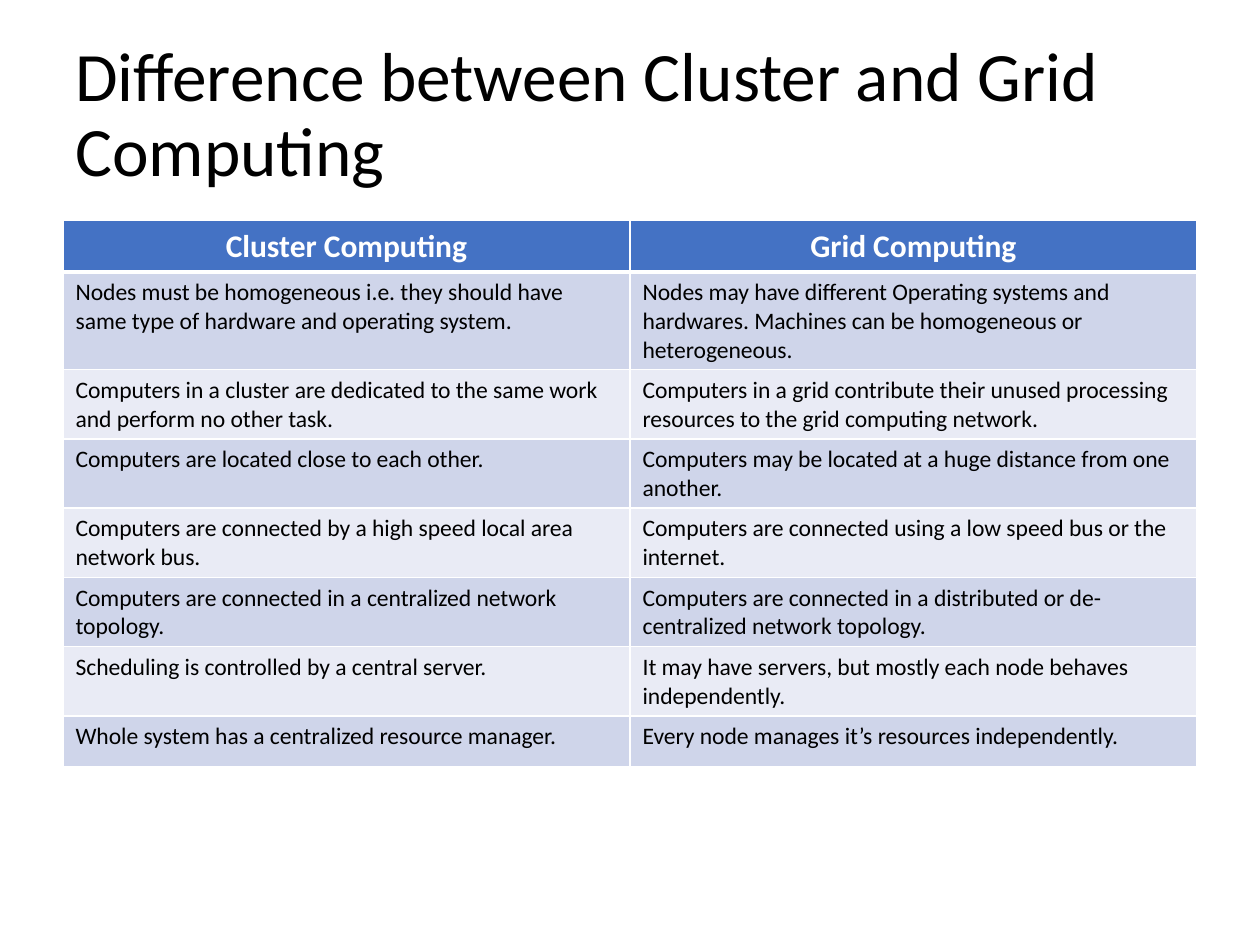
"""Build a slide comparing cluster computing with grid computing."""
from lxml.etree import SubElement
from pptx import Presentation
from pptx.dml.color import RGBColor
from pptx.enum.text import MSO_ANCHOR, PP_ALIGN
from pptx.oxml.ns import qn
from pptx.util import Cm, Pt

TITLE = "Difference between Cluster and Grid Computing"
ROWS = [
    ("Cluster Computing", "Grid Computing"),
    ("Nodes must be homogeneous i.e. they should have same type of hardware and operating system.",
     "Nodes may have different Operating systems and hardwares. "
     "Machines can be homogeneous or heterogeneous."),
    ("Computers in a cluster are dedicated to the same work and perform no other task.",
     "Computers in a grid contribute their unused processing resources to the grid computing network."),
    ("Computers are located close to each other.",
     "Computers may be located at a huge distance from one another."),
    ("Computers are connected by a high speed local area network bus.",
     "Computers are connected using a low speed bus or the internet."),
    ("Computers are connected in a centralized network topology.",
     "Computers are connected in a distributed or de-centralized network topology."),
    ("Scheduling is controlled by a central server.",
     "It may have servers, but mostly each node behaves independently."),
    ("Whole system has a centralized resource manager.",
     "Every node manages it’s resources independently."),
]
COLORS = {
    "text": "000000",
    "header_text": "FFFFFF",
    "header": "4472C4",
    "odd": "CFD5EA",
    "even": "E9EBF5",
    "border": "FFFFFF",
}
FONT = "Calibri"
LEFT, WIDTH = Cm(1.27), Cm(22.86)
ROW_HEIGHT = Cm(1.03)


def add_span(paragraph, text, size, color, bold=False):
    span = paragraph.add_run()
    span.text = text
    span.font.name = FONT
    span.font.size = Pt(size)
    span.font.bold = bold
    span.font.color.rgb = RGBColor.from_string(COLORS[color])


def add_borders(cell, top, bottom):
    properties = cell._tc.get_or_add_tcPr()
    widths = {"a:lnL": 1, "a:lnR": 1, "a:lnT": top, "a:lnB": bottom}
    for position, (tag, width) in enumerate(widths.items()):
        line = SubElement(properties, qn(tag), w=str(Pt(width)))
        fill = SubElement(line, qn("a:solidFill"))
        SubElement(fill, qn("a:srgbClr"), val=COLORS["border"])
        properties.insert(position, line)


def add_title(page):
    box = page.shapes.add_textbox(LEFT, Cm(0.76), WIDTH, Cm(3.18))
    frame = box.text_frame
    frame.word_wrap = True
    frame.vertical_anchor = MSO_ANCHOR.MIDDLE
    paragraph = frame.paragraphs[0]
    paragraph.line_spacing = 0.9
    add_span(paragraph, TITLE, 39.6, "text")


def add_comparison(page):
    table = page.shapes.add_table(
        len(ROWS), len(ROWS[0]), LEFT, Cm(4.45), WIDTH, ROW_HEIGHT * len(ROWS)
    ).table
    for row, texts in enumerate(ROWS):
        table.rows[row].height = ROW_HEIGHT
        is_header = row == 0
        fill = "header" if is_header else "odd" if row % 2 else "even"
        for column, text in enumerate(texts):
            cell = table.cell(row, column)
            cell.fill.solid()
            cell.fill.fore_color.rgb = RGBColor.from_string(COLORS[fill])
            add_borders(cell, top=3 if row == 1 else 1, bottom=3 if is_header else 1)
            paragraph = cell.text_frame.paragraphs[0]
            if is_header:
                paragraph.alignment = PP_ALIGN.CENTER
                add_span(paragraph, text, 18, "header_text", bold=True)
            else:
                add_span(paragraph, text, 13.5, "text")


def main():
    deck = Presentation()
    deck.slide_width, deck.slide_height = Cm(25.4), Cm(19.05)
    page = deck.slides.add_slide(deck.slide_layouts[6])
    add_title(page)
    add_comparison(page)
    deck.save("out.pptx")


if __name__ == "__main__":
    main()
